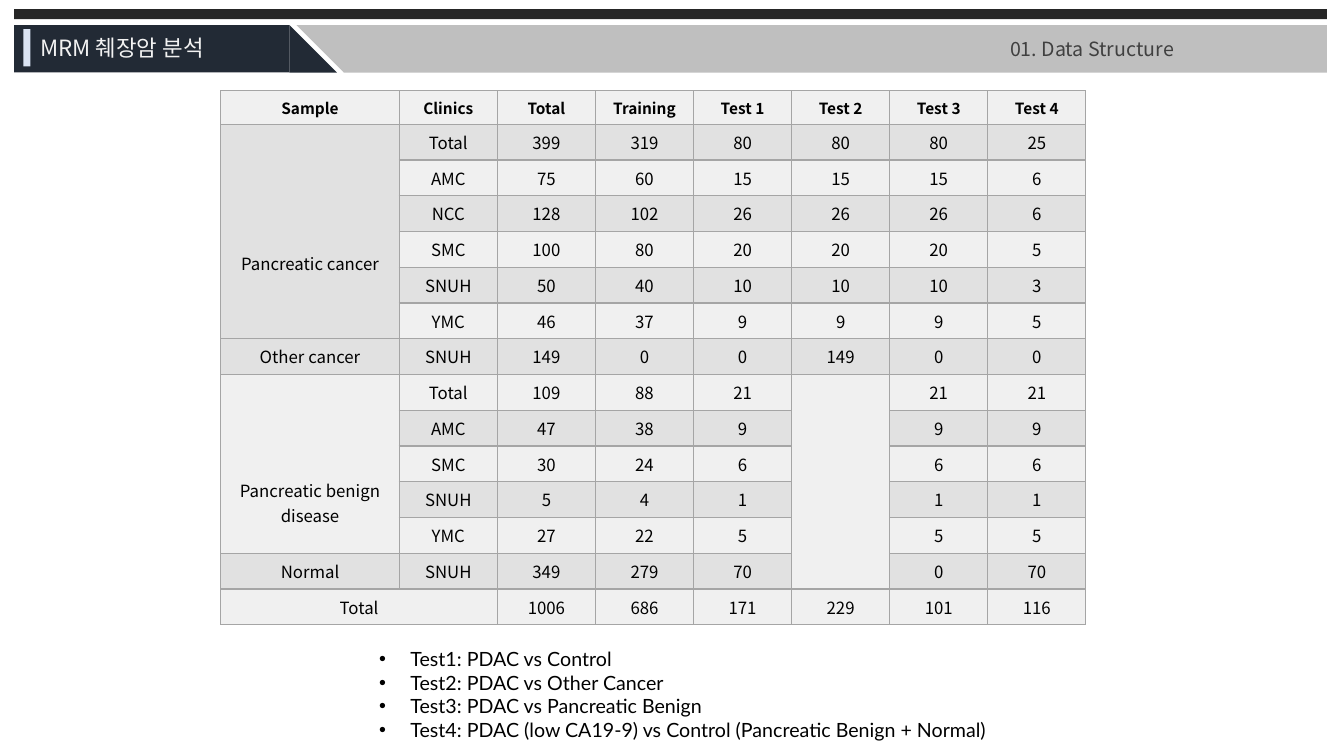
from lxml.etree import SubElement
from pptx import Presentation
from pptx.dml.color import RGBColor
from pptx.enum.shapes import MSO_SHAPE
from pptx.enum.text import MSO_ANCHOR, MSO_AUTO_SIZE, PP_ALIGN
from pptx.oxml.ns import qn
from pptx.util import Inches, Pt

HUES = {"bar": "262626", "navy": "222A35", "band": "BFBFBF", "mark": "DAE3F3",
        "head": "F2F2F2", "part": "404040", "ink": "000000",
        "rule": "A5A5A5", "light": "F0F0F0", "dark": "E1E1E1"}
SANS, LATO = "Noto Sans CJK KR", "Lato"

deck = Presentation()
deck.slide_width, deck.slide_height = Inches(13.33), Inches(7.5)
slide = deck.slides.add_slide(deck.slide_layouts[1])
shapes = slide.shapes


def area(left, top, width, height):
    """Turn percent shares of the slide into lengths."""
    across, down = deck.slide_width / 100, deck.slide_height / 100
    return [int(left * across), int(top * down), int(width * across), int(height * down)]


def write(para, text, size, hue, face=SANS, bold=False):
    """Add one styled run to a paragraph."""
    run = para.add_run()
    run.text = text
    run.font.size, run.font.bold, run.font.name = Pt(size), bold, face
    run.font.color.rgb = RGBColor.from_string(HUES[hue])
    SubElement(run.font._element, qn("a:ea"), typeface=face)


# Header bars; the grey band is a group
band = shapes.add_group_shape()
TOP, DEEP = 3.33, 6.27
RECT, WEDGE = MSO_SHAPE.RECTANGLE, MSO_SHAPE.RIGHT_TRIANGLE
for home, kind, box, hue, turn in [
    (shapes, RECT, (1.05, 1.2, 97.67, 1.33), "bar", 0),
    (shapes, RECT, (1.05, TOP, 20.48, DEEP), "navy", 0),
    (shapes, WEDGE, (21.53, TOP, 3.53, DEEP), "navy", 0),
    (band.shapes, RECT, (25.58, TOP, 73.14, DEEP), "band", 180),
    (band.shapes, WEDGE, (22.06, TOP, 3.53, DEEP), "band", 180),
    (shapes, RECT, (1.73, 3.87, 0.53, 4.93), "mark", 0),
]:
    part = home.add_shape(kind, *area(*box))
    part.rotation = turn
    part.shadow.inherit = False
    part.fill.solid()
    part.fill.fore_color.rgb = RGBColor.from_string(HUES[hue])
    part.line.fill.background()

# Title and section name
title = shapes.title
shapes.element.append(title.element)
label = shapes.add_textbox(*area(74.42, 4.13, 25.5, 4.53))
for item, text, size, hue in [(title, "MRM 췌장암 분석", 16, "head"),
                              (label, "01. Data Structure", 14, "part")]:
    frame = item.text_frame
    frame.word_wrap, frame.auto_size = True, MSO_AUTO_SIZE.NONE
    frame.vertical_anchor = MSO_ANCHOR.MIDDLE
    frame.paragraphs[0].alignment = PP_ALIGN.LEFT
    write(frame.paragraphs[0], text, size, hue)
title.left, title.top, title.width, title.height = area(2.25, 3.87, 17.4, 4.93)

# Sample table: None marks a cell covered by a merge
ROWS = [
    ["Sample", "Clinics", "Total", "Training", "Test 1", "Test 2", "Test 3", "Test 4"],
    ["Pancreatic cancer", "Total", 399, 319, 80, 80, 80, 25],
    [None, "AMC", 75, 60, 15, 15, 15, 6],
    [None, "NCC", 128, 102, 26, 26, 26, 6],
    [None, "SMC", 100, 80, 20, 20, 20, 5],
    [None, "SNUH", 50, 40, 10, 10, 10, 3],
    [None, "YMC", 46, 37, 9, 9, 9, 5],
    ["Other cancer", "SNUH", 149, 0, 0, 149, 0, 0],
    ["Pancreatic benign\ndisease", "Total", 109, 88, 21, None, 21, 21],
    [None, "AMC", 47, 38, 9, None, 9, 9],
    [None, "SMC", 30, 24, 6, None, 6, 6],
    [None, "SNUH", 5, 4, 1, None, 1, 1],
    [None, "YMC", 27, 22, 5, None, 5, 5],
    ["Normal", "SNUH", 349, 279, 70, None, 0, 70],
    ["Total", None, 1006, 686, 171, 229, 101, 116],
]
grid = shapes.add_table(len(ROWS), len(ROWS[0]), *area(16.43, 12, 64.38, 70.67)).table
grid.first_row = grid.horz_banding = False
for c, col in enumerate(grid.columns):
    col.width = area(0, 0, 7.3 if c else 13.28, 0)[2]
for r, row in enumerate(grid.rows):
    row.height = area(0, 0, 0, 4.73 if r else 4.43)[3]

for r, row in enumerate(ROWS):
    for c, value in enumerate(row):
        cell = grid.cell(r, c)
        cell.vertical_anchor = MSO_ANCHOR.MIDDLE
        for side in ("a:lnL", "a:lnR", "a:lnT", "a:lnB"):
            line = SubElement(cell._tc.get_or_add_tcPr(), qn(side), w=str(Pt(1)))
            SubElement(SubElement(line, qn("a:solidFill")), qn("a:srgbClr"), val=HUES["rule"])
        cell.fill.solid()
        cell.fill.fore_color.rgb = RGBColor.from_string(HUES["dark" if r % 2 else "light"])
        if value is None:
            continue
        for n, text in enumerate(str(value).split("\n")):
            para = cell.text_frame.add_paragraph() if n else cell.text_frame.paragraphs[0]
            para.alignment = PP_ALIGN.CENTER
            write(para, text, 12 if r else 11, "ink", bold=r == 0)

for first, last in [((1, 0), (6, 0)), ((8, 0), (12, 0)), ((8, 5), (13, 5)), ((14, 0), (14, 1))]:
    grid.cell(*first).merge(grid.cell(*last))

# Group names sit below the middle of their cells
for r, drop in [(1, 1.26), (8, 1.03)]:
    grid.cell(r, 0).vertical_anchor = MSO_ANCHOR.TOP
    grid.cell(r, 0).margin_top = Inches(drop)

# Test list
body = slide.placeholders[1]
shapes.element.append(body.element)
body.left, body.top, body.width, body.height = area(27.46, 84.93, 50.04, 13.87)
frame = body.text_frame
frame.word_wrap, frame.auto_size = True, MSO_AUTO_SIZE.NONE
for n, text in enumerate([
    "Test1: PDAC vs Control",
    "Test2: PDAC vs Other Cancer",
    "Test3: PDAC vs Pancreatic Benign",
    "Test4: PDAC (low CA19-9) vs Control (Pancreatic Benign + Normal)",
]):
    para = frame.add_paragraph() if n else frame.paragraphs[0]
    para.line_spacing, para.space_before = 1.0, Pt(0)
    props = para._p.get_or_add_pPr()
    props.set("marL", str(Inches(0.31)))
    props.set("indent", str(-Inches(0.31)))
    SubElement(props, qn("a:buFont"), typeface="Arial")
    SubElement(props, qn("a:buChar"), char="•")
    write(para, text, 14, "ink", LATO)

deck.save("out.pptx")
